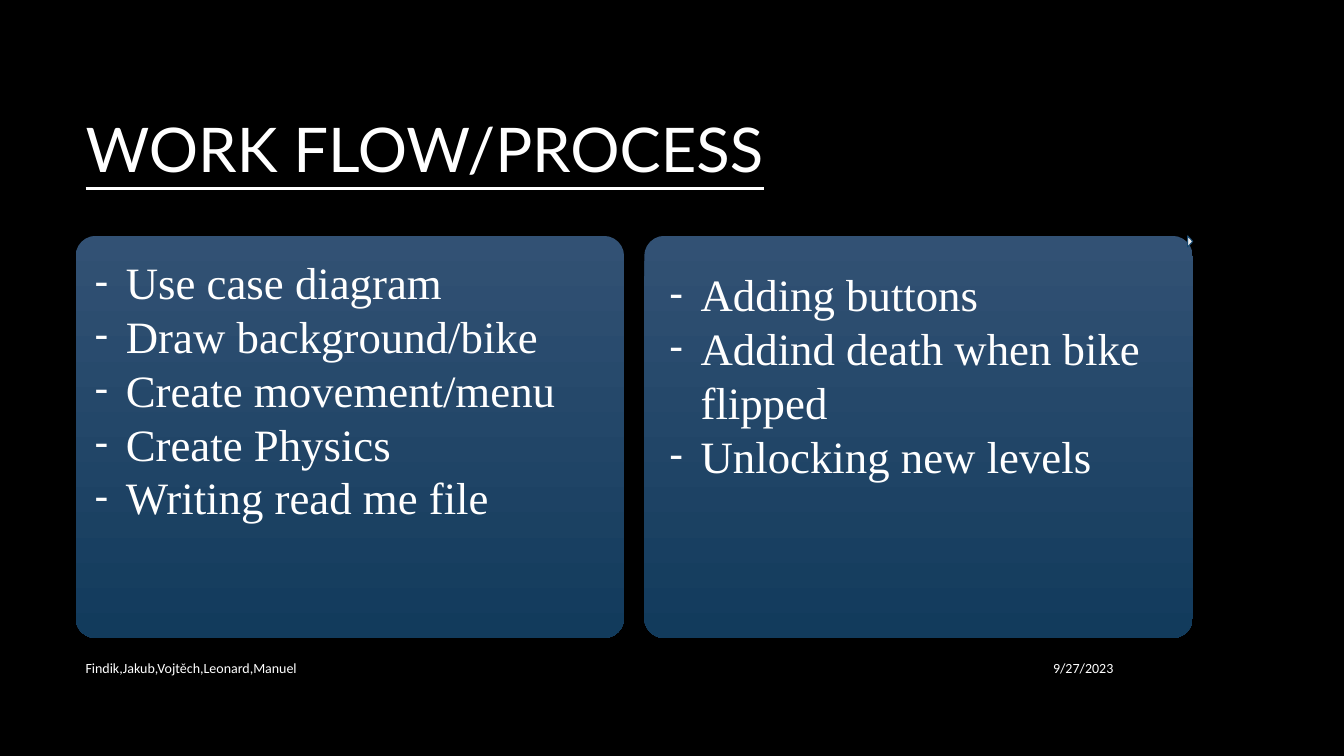
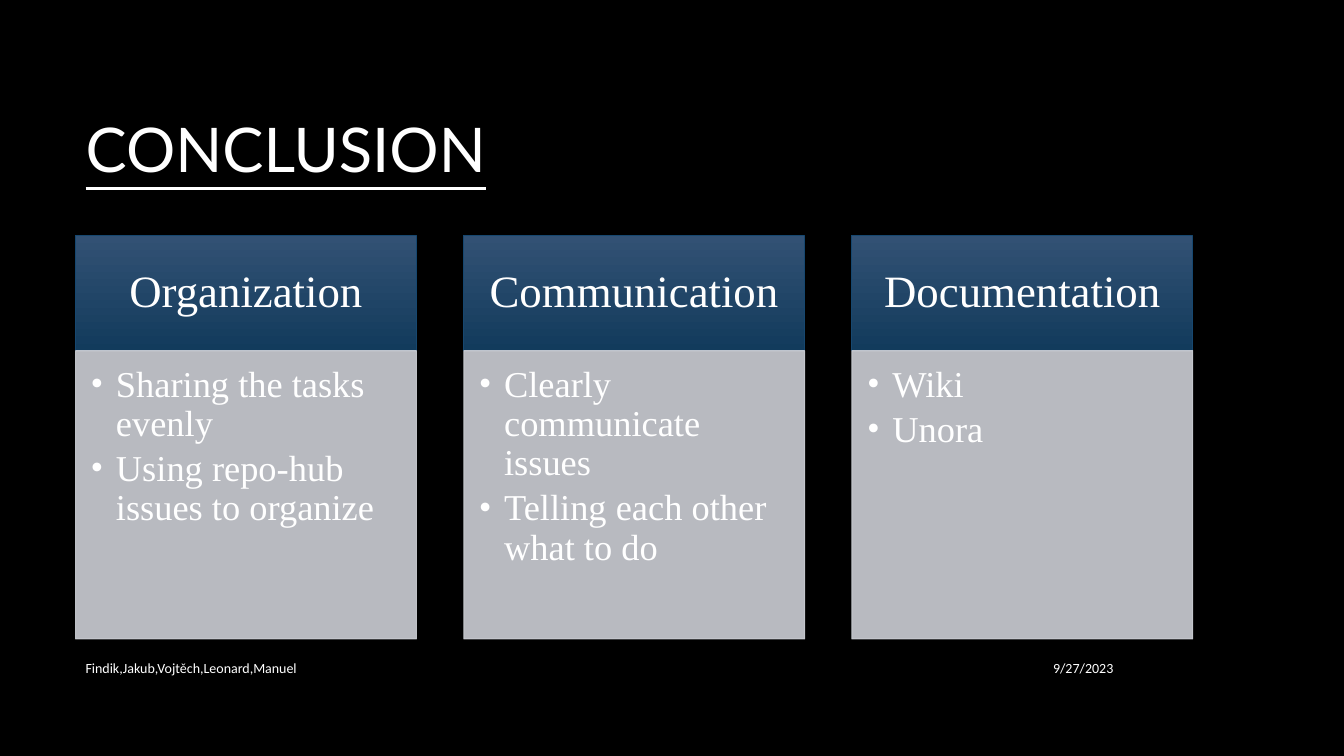
from lxml.etree import SubElement
from pptx import Presentation
from pptx.dml.color import RGBColor
from pptx.enum.shapes import MSO_SHAPE as Kind
from pptx.enum.text import MSO_ANCHOR as Anchor, MSO_AUTO_SIZE as Auto, PP_ALIGN as Align
from pptx.oxml.ns import qn
from pptx.util import Inches, Pt

BLACK = RGBColor(0x00, 0x00, 0x00)
WHITE = RGBColor(0xFF, 0xFF, 0xFF)
BLUE_TOP = RGBColor(0x32, 0x51, 0x74)
BLUE_END = RGBColor(0x12, 0x3B, 0x5C)
EDGE = RGBColor(0x16, 0x47, 0x6F)
GRAY = RGBColor(0xCC, 0xCF, 0xD5)
PALE = RGBColor(0xEB, 0xEB, 0xEB)
HEAD, BODY, SMALL = "Lato", "Times New Roman", "Calibri"

TEAM = "Findik,Jakub,Vojtěch,Leonard,Manuel"
DATE = "9/27/2023"
FLOW = "WORK FLOW/PROCESS"
# text box (left, top, width, height) and its steps
STEPS = [
    ((0.84, 2.48, 5.32, 3), ["Use case diagram", "Draw background/bike",
                             "Create movement/menu", "Create Physics",
                             "Writing read me file"]),
    ((6.54, 2.6, 5.05, 2.56), ["Adding buttons", "Addind death when bike flipped",
                               "Unlocking new levels"]),
]
END = "CONCLUSION"
TOPICS = [
    ("Organization", ["Sharing the tasks evenly", "Using repo-hub issues to organize"]),
    ("Communication", ["Clearly communicate issues", "Telling each other what to do"]),
    ("Documentation", ["Wiki", "Unora"]),
]

LEFT, TOP, WIDTH = 0.75, 2.34, 11.08
CARD_W, CARD_H = 5.44, 3.99
COL_W, HEAD_H, LIST_H = 3.38, 1.14, 2.86


def spread(count, size):
    """Left edges of equal parts that fill the content width."""
    step = (WIDTH - size) / (count - 1)
    return [LEFT + i * step for i in range(count)]


def box(at):
    return [Inches(v) for v in at]


def bullet(para, char, indent, font):
    props = para._p.get_or_add_pPr()
    props.set("marL", str(Inches(indent)))
    props.set("indent", str(-Inches(indent)))
    SubElement(props, qn("a:buFont"), typeface=font)
    SubElement(props, qn("a:buChar"), char=char)


def write(frame, lines, size, font=BODY, align=Align.LEFT, anchor=Anchor.TOP,
          mark=None, space=None, after=0, under=None):
    """Fill a frame; mark is (character, indent, font) of the bullet."""
    frame.word_wrap = True
    frame.auto_size = Auto.NONE
    frame.vertical_anchor = anchor
    frame.text = "\n".join(lines)
    for para in frame.paragraphs:
        para.alignment = align
        if space:
            para.line_spacing = space
        para.space_after = Pt(after)
        if mark:
            bullet(para, *mark)
        style = para.font
        style.name, style.size, style.underline = font, Pt(size), under
        style.color.rgb = WHITE


def label(slide, at, lines, size, **look):
    write(slide.shapes.add_textbox(*box(at)).text_frame, lines, size, **look)


def block(slide, kind, at, fill=None, line=None):
    """Add a shape, with the blue gradient unless a fill is given."""
    shape = slide.shapes.add_shape(kind, *box(at))
    shape.shadow.inherit = False
    if fill is None:
        shape.fill.gradient()
        shape.fill.gradient_angle = 270
        for stop, color in zip(shape.fill.gradient_stops, (BLUE_TOP, BLUE_END)):
            stop.color.rgb = color
    else:
        shape.fill.solid()
        shape.fill.fore_color.rgb = fill
    if line is None:
        shape.line.fill.background()
    else:
        shape.line.color.rgb = line
        shape.line.width = Pt(0.75)
    return shape


def pad(frame, left, top, right, bottom):
    frame.margin_left, frame.margin_top = Inches(left), Inches(top)
    frame.margin_right, frame.margin_bottom = Inches(right), Inches(bottom)


def fade(shape, percent):
    for color in shape._element.spPr.iter(qn("a:srgbClr")):
        SubElement(color, qn("a:alpha"), val=str(percent * 1000))


def start(deck, name):
    """Add a slide with its title and footers."""
    slide = deck.slides.add_slide(deck.slide_layouts[5])
    title = slide.shapes.title
    title.left, title.top, title.width, title.height = box((LEFT, 0.67, WIDTH, 1.59))
    write(title.text_frame, [name], 44, font=HEAD, anchor=Anchor.MIDDLE, under=True)
    label(slide, (9.39, 6.42, 1.75, 0.41), [DATE], 10, font=SMALL,
          align=Align.RIGHT, anchor=Anchor.MIDDLE)
    label(slide, (LEFT, 6.42, 8.56, 0.41), [TEAM], 10, font=SMALL, anchor=Anchor.MIDDLE)
    return slide


def add_flow(deck):
    slide = start(deck, FLOW)
    for x in spread(len(STEPS), CARD_W):
        card = block(slide, Kind.ROUNDED_RECTANGLE, (x, TOP, CARD_W, CARD_H))
        card.adjustments[0] = 0.05
    tip = block(slide, Kind.FLOWCHART_EXTRACT, (11.75, 2.37, 0.11, 0.05), PALE, EDGE)
    tip.rotation = 90
    for at, lines in STEPS:
        label(slide, at, lines, 32, mark=("-", 0.31, SMALL))


def add_end(deck):
    slide = start(deck, END)
    for x, (name, points) in zip(spread(len(TOPICS), COL_W), TOPICS):
        head = block(slide, Kind.RECTANGLE, (x, TOP, COL_W, HEAD_H), line=EDGE)
        pad(head.text_frame, 0.25, 0.14, 0.25, 0.14)
        write(head.text_frame, [name], 32, align=Align.CENTER,
              anchor=Anchor.MIDDLE, space=0.9)
        body = block(slide, Kind.RECTANGLE, (x, TOP + HEAD_H, COL_W, LIST_H), GRAY, GRAY)
        fade(body, 90)
        pad(body.text_frame, 0.15, 0.15, 0.2, 0.23)
        write(body.text_frame, points, 26, mark=("•", 0.25, BODY), space=0.9, after=4)


def main():
    deck = Presentation()
    deck.slide_width, deck.slide_height = Inches(13.33), Inches(7.5)
    back = deck.slide_master.background.fill
    back.solid()
    back.fore_color.rgb = BLACK
    add_flow(deck)
    add_end(deck)
    deck.save("out.pptx")


if __name__ == "__main__":
    main()
